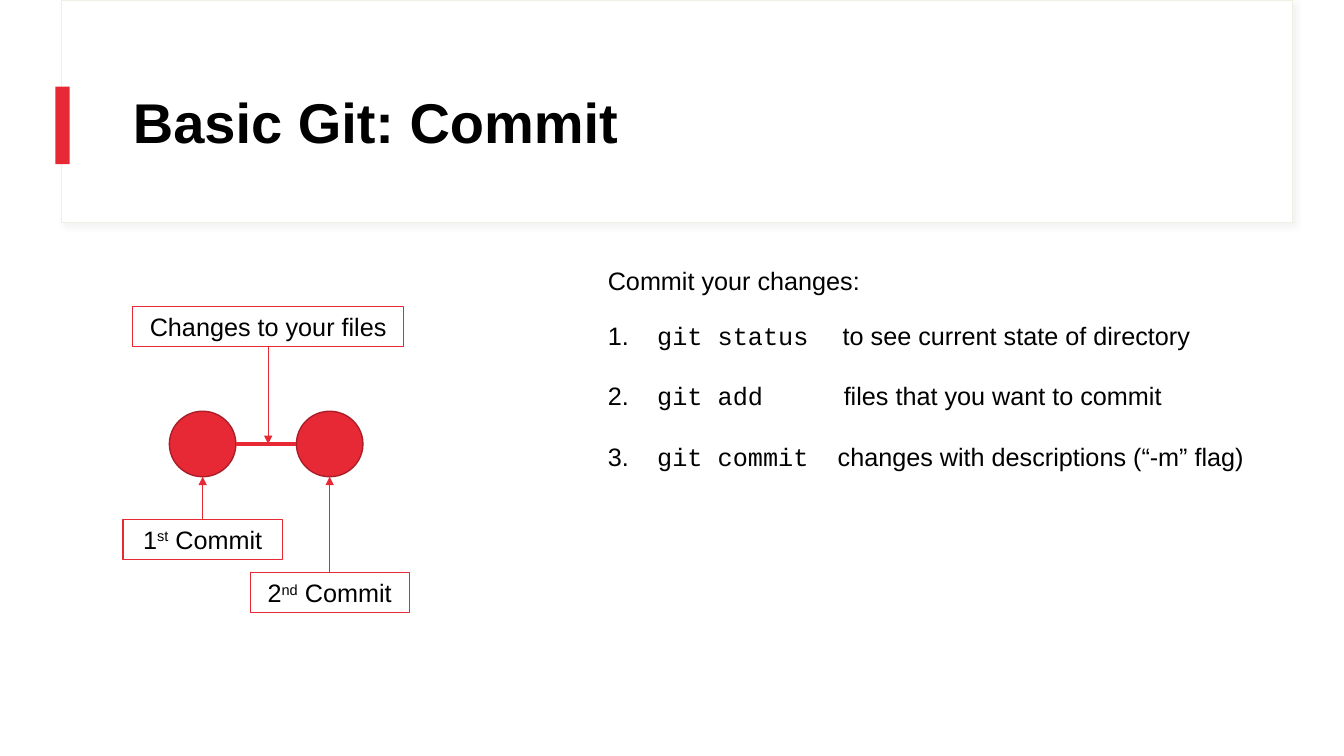
"""Build the slide on the basic Git commit steps."""
from dataclasses import dataclass

from lxml.etree import SubElement
from pptx import Presentation
from pptx.dml.color import RGBColor
from pptx.enum.shapes import MSO_CONNECTOR, MSO_SHAPE
from pptx.enum.text import MSO_ANCHOR, PP_ALIGN
from pptx.oxml.ns import qn
from pptx.util import Inches, Pt


@dataclass(frozen=True)
class Theme:
    red: str = "E72936"
    dark: str = "AB1E28"
    white: str = "FFFFFF"
    black: str = "000000"
    edge: str = "EFEFE3"
    shade: str = "D9D9D9"
    sans: str = "Arial"
    mono: str = "Courier New"
    head: int = 40
    body: int = 18


theme = Theme()
TITLE = "Basic Git: Commit"
INTRO = "Commit your changes:"
STEPS = [
    ("git status", "to see current state of directory", 2.33),
    ("git add", "files that you want to commit", 2.34),
    ("git commit", "changes with descriptions (“-m” flag)", 2.28),
]
COMMITS = [("1", "st", 2.01, 5.15), ("2", "nd", 3.27, 5.68)]
CHANGE = "Changes to your files"
NODE_W, NODE_H, NODE_Y = 0.66, 0.65, 4.08
TAG_W, NOTE_W, TAG_H, NOTE_Y = 1.58, 2.69, 0.4, 3.04
NUM_TAB, STEP_GAP = 0.49, 21.5

deck = Presentation()
deck.slide_width, deck.slide_height = Inches(13.33), Inches(7.5)
slide = deck.slides.add_slide(deck.slide_layouts[6])
shapes = slide.shapes


def color(code):
    return RGBColor.from_string(code)


def style(font, size=theme.body, name=theme.sans, bold=False):
    font.size, font.name, font.bold = Pt(size), name, bold
    font.color.rgb = color(theme.black)


def shape(kind, box, fill=None, line=None, width=0.75):
    item = shapes.add_shape(kind, *map(Inches, box))
    item.shadow.inherit = False
    if fill:
        item.fill.solid()
        item.fill.fore_color.rgb = color(fill)
    else:
        item.fill.background()
    if line:
        item.line.color.rgb = color(line)
        item.line.width = Pt(width)
    else:
        item.line.fill.background()
    return item


def link(start, end, width=0.5, arrow=True):
    points = map(Inches, (*start, *end))
    item = shapes.add_connector(MSO_CONNECTOR.STRAIGHT, *points)
    item.line.color.rgb = color(theme.red)
    item.line.width = Pt(width)
    if arrow:
        SubElement(item.line._get_or_add_ln(), qn("a:tailEnd"), type="triangle")
    SubElement(item._element.spPr, qn("a:effectLst"))


def text(box, wrap=True):
    frame = shapes.add_textbox(*map(Inches, box)).text_frame
    frame.word_wrap = wrap
    return frame


def tag(mid, top, width, parts):
    box = (mid - width / 2, top, width, TAG_H)
    frame = shape(MSO_SHAPE.RECTANGLE, box, line=theme.red).text_frame
    frame.word_wrap = True
    para = frame.paragraphs[0]
    para.alignment = PP_ALIGN.CENTER
    style(para.font)
    for words, rise in parts:
        run = para.add_run()
        run.text = words
        if rise:
            run.font._element.set("baseline", "30000")


def tabs(para, stops):
    holder = SubElement(para._p.get_or_add_pPr(), qn("a:tabLst"))
    for stop in stops:
        SubElement(holder, qn("a:tab"), pos=str(Inches(stop)), algn="l")


def shade(item):
    effects = item._element.spPr.find(qn("a:effectLst"))
    outer = SubElement(effects, qn("a:outerShdw"), blurRad=str(Pt(4)),
                       dist=str(Pt(3)), dir="2700000", algn="tl", rotWithShape="0")
    tint = SubElement(outer, qn("a:srgbClr"), val=theme.shade)
    SubElement(tint, qn("a:alpha"), val="30000")


shade(shape(MSO_SHAPE.RECTANGLE, (0.61, 0, 12.21, 2.21), theme.white, theme.edge))
shape(MSO_SHAPE.RECTANGLE, (0.55, 0.86, 0.14, 0.77), theme.red)

title = text((1.22, 0.6, 11.12, 1.29))
title.vertical_anchor = MSO_ANCHOR.MIDDLE
title.text = TITLE
title.paragraphs[0].line_spacing = 0.9
style(title.paragraphs[0].font, theme.head, bold=True)

for count, suffix, mid, top in COMMITS:
    node = (mid - NODE_W / 2, NODE_Y, NODE_W, NODE_H)
    shape(MSO_SHAPE.OVAL, node, theme.red, theme.dark, 1)
    tag(mid, top, TAG_W, [(count, False), (suffix, True), (" Commit", False)])
    link((mid, top), (mid, NODE_Y + NODE_H))

first, last = (commit[2] for commit in COMMITS)
axis = NODE_Y + NODE_H / 2
link((first + NODE_W / 2, axis), (last - NODE_W / 2, axis), 3, False)
center = 2.66
tag(center, NOTE_Y, NOTE_W, [(CHANGE, False)])
link((center, NOTE_Y + TAG_H), (center, axis))

intro = text((5.93, 2.58, 2.81, 0.4), False)
intro.text = INTRO
style(intro.paragraphs[0].font)

steps = text((5.93, 3.13, 6.69, 1.62))
for index, (command, detail, stop) in enumerate(STEPS):
    para = steps.add_paragraph() if index else steps.paragraphs[0]
    para.space_before = Pt(STEP_GAP if index else 0)
    tabs(para, (NUM_TAB, stop))
    for words, name in ((f"{index + 1}.\t", theme.sans), (command, theme.mono),
                        (f"\t{detail}", theme.sans)):
        run = para.add_run()
        run.text = words
        style(run.font, name=name)

deck.save("out.pptx")
